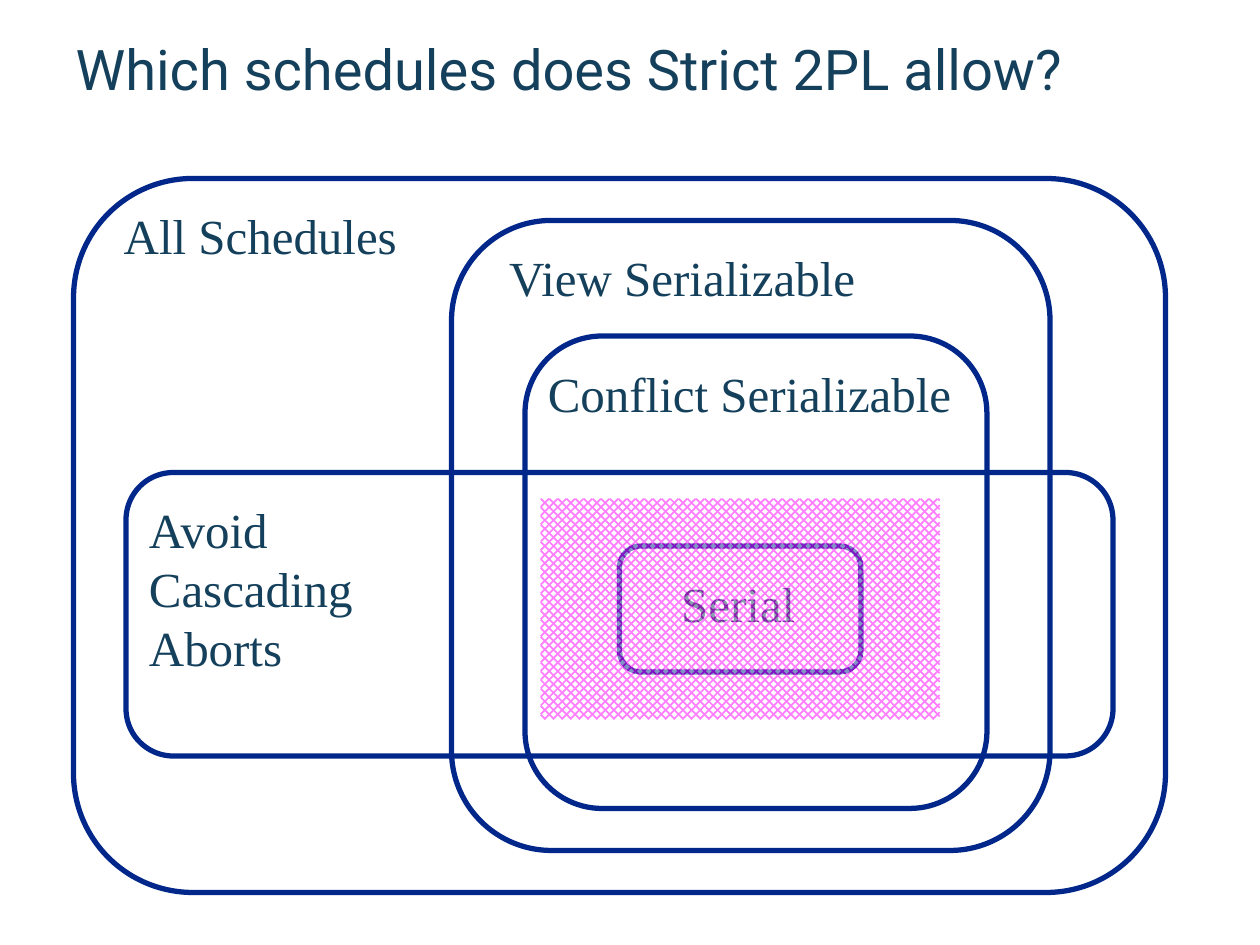
from dataclasses import dataclass

from pptx import Presentation
from pptx.dml.color import RGBColor
from pptx.enum.dml import MSO_PATTERN
from pptx.enum.shapes import MSO_SHAPE
from pptx.enum.text import MSO_ANCHOR, MSO_AUTO_SIZE, PP_ALIGN
from pptx.oxml.ns import qn
from pptx.util import Inches, Pt
from lxml.etree import SubElement


@dataclass(frozen=True)
class Theme:
    ink = RGBColor(0x14, 0x40, 0x5C)
    outline = RGBColor(0x00, 0x27, 0x89)
    highlight = RGBColor(0xFF, 0x00, 0xFF)
    paper = RGBColor(0xFF, 0xFF, 0xFF)
    title_font, title_size = "Roboto", Pt(32)
    label_font, label_size = "Times New Roman", Pt(28)
    outline_width = Pt(3)
    corner = 0.167


THEME = Theme()
CELL = Inches(1) / 12  # the diagram sits on a grid of twelve cells to the inch

# box (left, top, width, height), label, label indent and label width, in cells
REGIONS = [
    ((7, 17, 104, 68), "All Schedules", 3.6, 28.4),
    ((12, 45, 94, 27), "Avoid\nCascading\vAborts", 1, 32),
    ((59, 52, 23, 12), "Serial", 4.7, 13.3),
    ((50, 32, 44, 45), "Conflict Serializable", 1, 40.9),
    ((43, 21, 57, 60), "View Serializable", 4.3, 35.8),
]
STRICT_2PL = (51.5, 47.5, 38, 21)
LABEL_DROP, LINE_HEIGHT = 2, 6


def cells(*lengths):
    return [round(length * CELL) for length in lengths]


def style_text(frame, font_name, size):
    for paragraph in frame.paragraphs:
        paragraph.alignment = PP_ALIGN.LEFT
        paragraph.font.name = font_name
        paragraph.font.size = size
        paragraph.font.color.rgb = THEME.ink


def add_title(slide, text, box):
    title = slide.shapes.title
    title.left, title.top, title.width, title.height = box
    frame = title.text_frame
    frame.text = text
    frame.vertical_anchor = MSO_ANCHOR.MIDDLE
    style_text(frame, THEME.title_font, THEME.title_size)


def add_region(slide, box, label, indent, label_width):
    """Outline one class of schedules and label it near its top left."""
    region = slide.shapes.add_shape(MSO_SHAPE.ROUNDED_RECTANGLE, *cells(*box))
    region.adjustments[0] = THEME.corner
    region.shadow.inherit = False
    region.fill.background()
    region.line.color.rgb = THEME.outline
    region.line.width = THEME.outline_width

    left, top = box[:2]
    line_count = len(label.splitlines())
    caption = slide.shapes.add_textbox(*cells(
        left + indent, top + LABEL_DROP, label_width, LINE_HEIGHT * line_count + 0.8))
    frame = caption.text_frame
    frame.word_wrap = line_count > 1
    frame.auto_size = MSO_AUTO_SIZE.SHAPE_TO_FIT_TEXT
    frame.text = label
    style_text(frame, THEME.label_font, THEME.label_size)


def add_highlight(slide, box):
    """Cover the allowed schedules with a see-through pattern."""
    allowed = slide.shapes.add_shape(MSO_SHAPE.RECTANGLE, *cells(*box))
    allowed.shadow.inherit = False
    allowed.line.fill.background()
    allowed.fill.patterned()
    allowed.fill.pattern = MSO_PATTERN.PERCENT_50
    allowed.fill.fore_color.rgb = THEME.highlight
    allowed.fill.back_color.rgb = THEME.paper
    pattern = allowed.element.spPr.find(qn("a:pattFill"))
    for colour in pattern.iter(qn("a:srgbClr")):
        SubElement(colour, qn("a:alpha"), val="50000")


def main():
    deck = Presentation()
    deck.slide_width, deck.slide_height = Inches(10), Inches(7.5)
    slide = deck.slides.add_slide(deck.slide_layouts[5])
    add_title(slide, "Which schedules does Strict 2PL allow?",
              (Inches(0.5), Inches(0.22), Inches(9), Inches(0.64)))
    for region in REGIONS:
        add_region(slide, *region)
    add_highlight(slide, STRICT_2PL)
    deck.save("out.pptx")


if __name__ == "__main__":
    main()
